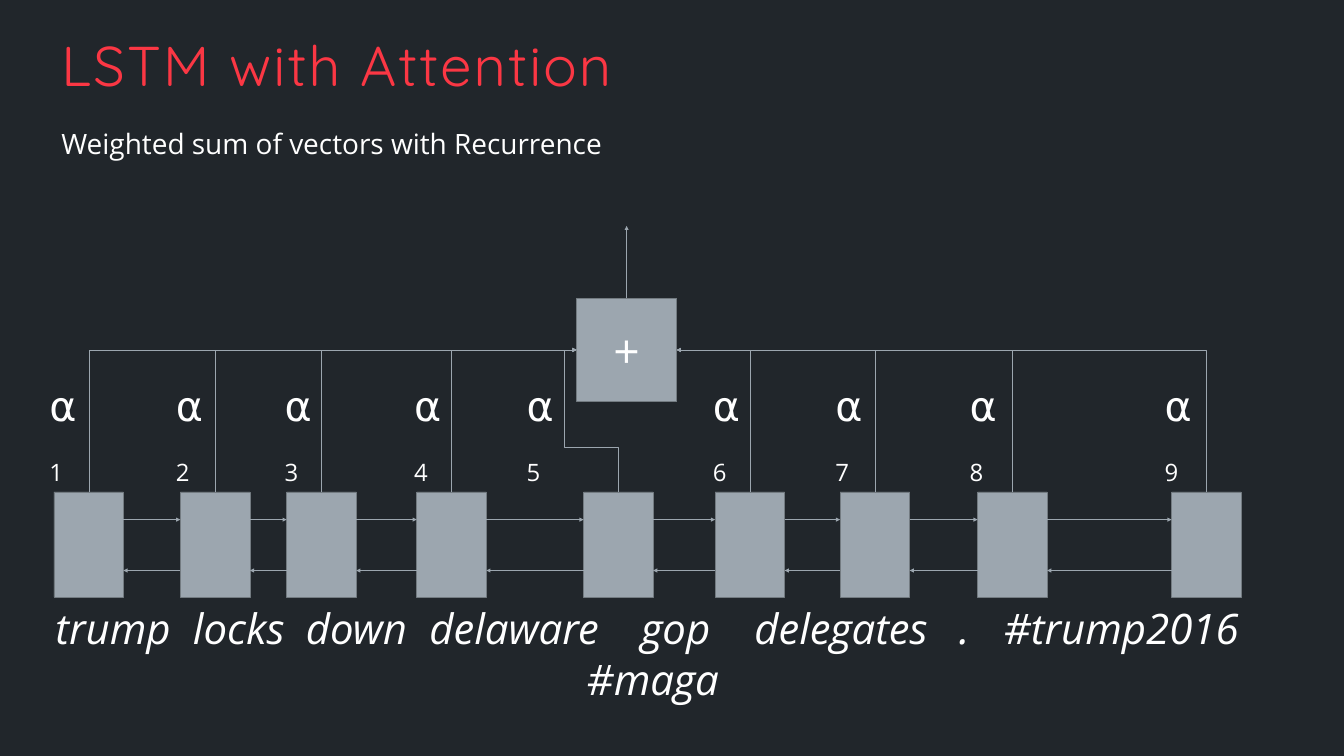
"""Build the slide showing an LSTM with attention over nine words."""
from lxml.etree import SubElement
from pptx import Presentation
from pptx.dml.color import RGBColor
from pptx.enum.shapes import MSO_CONNECTOR, MSO_SHAPE
from pptx.enum.text import MSO_ANCHOR, PP_ALIGN
from pptx.oxml.ns import qn
from pptx.util import Inches, Pt

BACKGROUND = RGBColor(0x21, 0x26, 0x2B)
RED = RGBColor(0xFB, 0x37, 0x44)
WHITE = RGBColor(0xFF, 0xFF, 0xFF)
GREY = RGBColor(0x9C, 0xA6, 0xAF)
OUTLINE = RGBColor(0x73, 0x7B, 0x81)

TITLE = "LSTM with Attention"
SUBTITLE = "Weighted sum of vectors with Recurrence"
WORDS = ["trump", "locks", "down", "delaware", "gop", "delegates", ".", "#trump2016"]
LAST_WORD = "#maga"
WORD_STOPS = [2.73, 4.97, 7.42, 11.63, 13.87, 17.93, 18.82]
CELL_LEFTS = [1.07, 3.58, 5.69, 8.27, 11.58, 14.19, 16.67, 19.4, 23.25]
ALPHA_LEFTS = [0.88, 3.39, 5.55, 8.12, 10.35, 14.05, 16.48, 19.14, 23.01]

CELL_TOP, CELL_WIDTH, CELL_HEIGHT = 9.76, 1.38, 2.09
SUM_LEFT, SUM_TOP, SUM_WIDTH, SUM_HEIGHT = 11.44, 5.92, 1.99, 2.05
SUM_MIDDLE = SUM_TOP + SUM_HEIGHT / 2
SUM_CENTER = SUM_LEFT + SUM_WIDTH / 2
FORWARD_Y, BACKWARD_Y = 10.31, 11.32


def style_font(font, size, color=WHITE, name="Open Sans"):
    font.size, font.name = Pt(size), name
    font.color.rgb = color


def add_text_box(slide, left, top, width, height):
    text_frame = slide.shapes.add_textbox(
        Inches(left), Inches(top), Inches(width), Inches(height)).text_frame
    text_frame.word_wrap = True
    return text_frame


def add_box(slide, left, top, width, height):
    shape = slide.shapes.add_shape(
        MSO_SHAPE.RECTANGLE, Inches(left), Inches(top), Inches(width), Inches(height))
    shape.shadow.inherit = False
    shape.fill.solid()
    shape.fill.fore_color.rgb = GREY
    shape.line.color.rgb = OUTLINE
    shape.line.width = Pt(1)
    return shape


def add_arrow(slide, start, end, kind=MSO_CONNECTOR.STRAIGHT):
    connector = slide.shapes.add_connector(kind, *map(Inches, start + end))
    connector.line.color.rgb = GREY
    connector.line.width = Pt(0.5)
    SubElement(connector.line._get_or_add_ln(), qn("a:tailEnd"), type="triangle")
    SubElement(connector._element.spPr, qn("a:effectLst"))
    return connector


def add_bent_arrow(slide, start, end, preset="bentConnector2", adjustments=()):
    length, breadth = abs(end[1] - start[1]), abs(end[0] - start[0])
    left = (start[0] + end[0] - length) / 2
    top = (start[1] + end[1] - breadth) / 2
    connector = add_arrow(
        slide, (left, top), (left + length, top + breadth), MSO_CONNECTOR.ELBOW)
    properties = connector._element.spPr
    frame = properties.find(qn("a:xfrm"))
    rightward = end[0] > start[0]
    frame.set("rot", str((90 if rightward else 270) * 60000))
    frame.set("flipV", "1")
    if rightward:
        frame.set("flipH", "1")
    geometry = properties.find(qn("a:prstGeom"))
    geometry.set("prst", preset)
    guides = geometry.find(qn("a:avLst"))
    for number, value in enumerate(adjustments, 1):
        SubElement(guides, qn("a:gd"), name=f"adj{number}", fmla=f"val {value}")


def add_headings(slide):
    title = slide.shapes.title
    title.left, title.top = Inches(1.12), Inches(0.75)
    title.width, title.height = Inches(24.42), Inches(1.21)
    title.text_frame.text = TITLE
    title.text_frame.vertical_anchor = MSO_ANCHOR.MIDDLE
    paragraph = title.text_frame.paragraphs[0]
    paragraph.alignment, paragraph.line_spacing = PP_ALIGN.LEFT, 0.9
    font = paragraph.runs[0].font
    style_font(font, 80, RED, "Quicksand")
    font._element.set("spc", "320")

    text_frame = add_text_box(slide, 1.12, 2.54, 24.42, 1.4)
    text_frame.text = SUBTITLE
    text_frame.paragraphs[0].line_spacing = 0.9
    style_font(text_frame.paragraphs[0].runs[0].font, 40)


def add_sentence(slide):
    text_frame = add_text_box(slide, 0.79, 11.91, 24.33, 2.1)
    text_frame.margin_left = text_frame.margin_right = Inches(0.31)
    text_frame.text = "\t".join(WORDS) + "\n" + LAST_WORD
    first, last = text_frame.paragraphs
    tabs = SubElement(first._p.get_or_add_pPr(), qn("a:tabLst"))
    for stop in WORD_STOPS:
        SubElement(tabs, qn("a:tab"), pos=str(Inches(stop)), algn="l")
    last.alignment = PP_ALIGN.CENTER
    for paragraph in (first, last):
        for run in paragraph.runs:
            style_font(run.font, 60)
            run.font.italic = True


def add_alpha(slide, left, number):
    paragraph = add_text_box(slide, left, 7.49, 0.95, 1.09).paragraphs[0]
    for text in ("⍺", str(number)):
        run = paragraph.add_run()
        run.text = text
        style_font(run.font, 59)
    run.font._element.set("baseline", "-25000")


def add_network(slide):
    for left in CELL_LEFTS:
        add_box(slide, left, CELL_TOP, CELL_WIDTH, CELL_HEIGHT)

    sum_box = add_box(slide, SUM_LEFT, SUM_TOP, SUM_WIDTH, SUM_HEIGHT)
    sum_box.text_frame.text = "+"
    sum_box.text_frame.vertical_anchor = MSO_ANCHOR.MIDDLE
    sum_box.text_frame.paragraphs[0].alignment = PP_ALIGN.CENTER
    style_font(sum_box.text_frame.paragraphs[0].runs[0].font, 66)
    add_arrow(slide, (SUM_CENTER, SUM_TOP), (SUM_CENTER, 4.48))

    for number, (left, alpha_left) in enumerate(zip(CELL_LEFTS, ALPHA_LEFTS), 1):
        start = (left + CELL_WIDTH / 2, CELL_TOP)
        side = SUM_LEFT if start[0] < SUM_CENTER else SUM_LEFT + SUM_WIDTH
        if SUM_LEFT < start[0] < SUM_LEFT + SUM_WIDTH:
            add_bent_arrow(slide, start, (side, SUM_MIDDLE), "bentConnector4", (31800, 130200))
        else:
            add_bent_arrow(slide, start, (side, SUM_MIDDLE))
        add_alpha(slide, alpha_left, number)

    for left, following in zip(CELL_LEFTS, CELL_LEFTS[1:]):
        right = left + CELL_WIDTH
        add_arrow(slide, (right, FORWARD_Y), (following, FORWARD_Y))
        add_arrow(slide, (following, BACKWARD_Y), (right, BACKWARD_Y))


def main():
    presentation = Presentation()
    presentation.slide_width, presentation.slide_height = Inches(26.67), Inches(15)
    slide = presentation.slides.add_slide(presentation.slide_layouts[5])
    slide.background.fill.solid()
    slide.background.fill.fore_color.rgb = BACKGROUND
    add_headings(slide)
    add_sentence(slide)
    add_network(slide)
    presentation.save("out.pptx")


if __name__ == "__main__":
    main()
